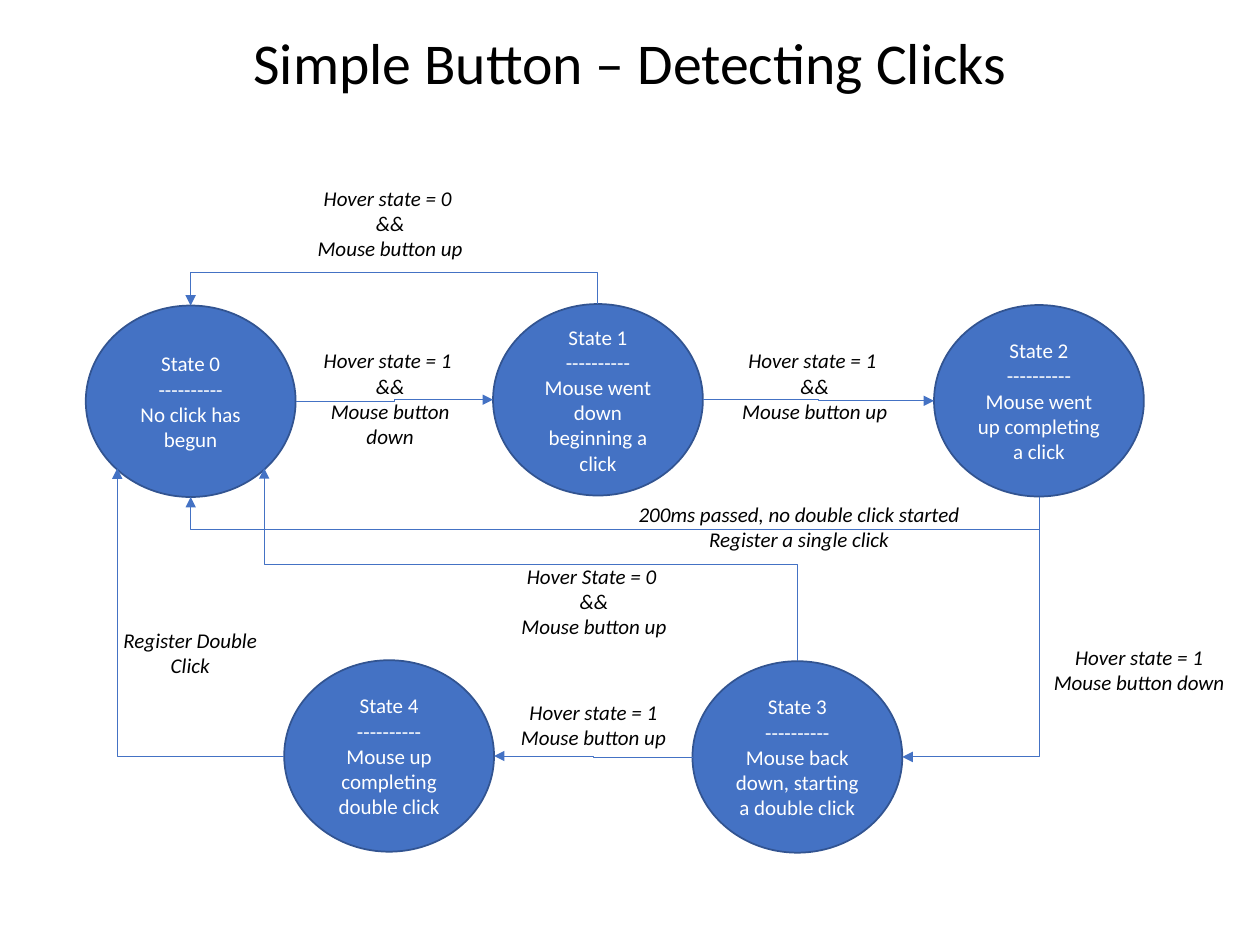
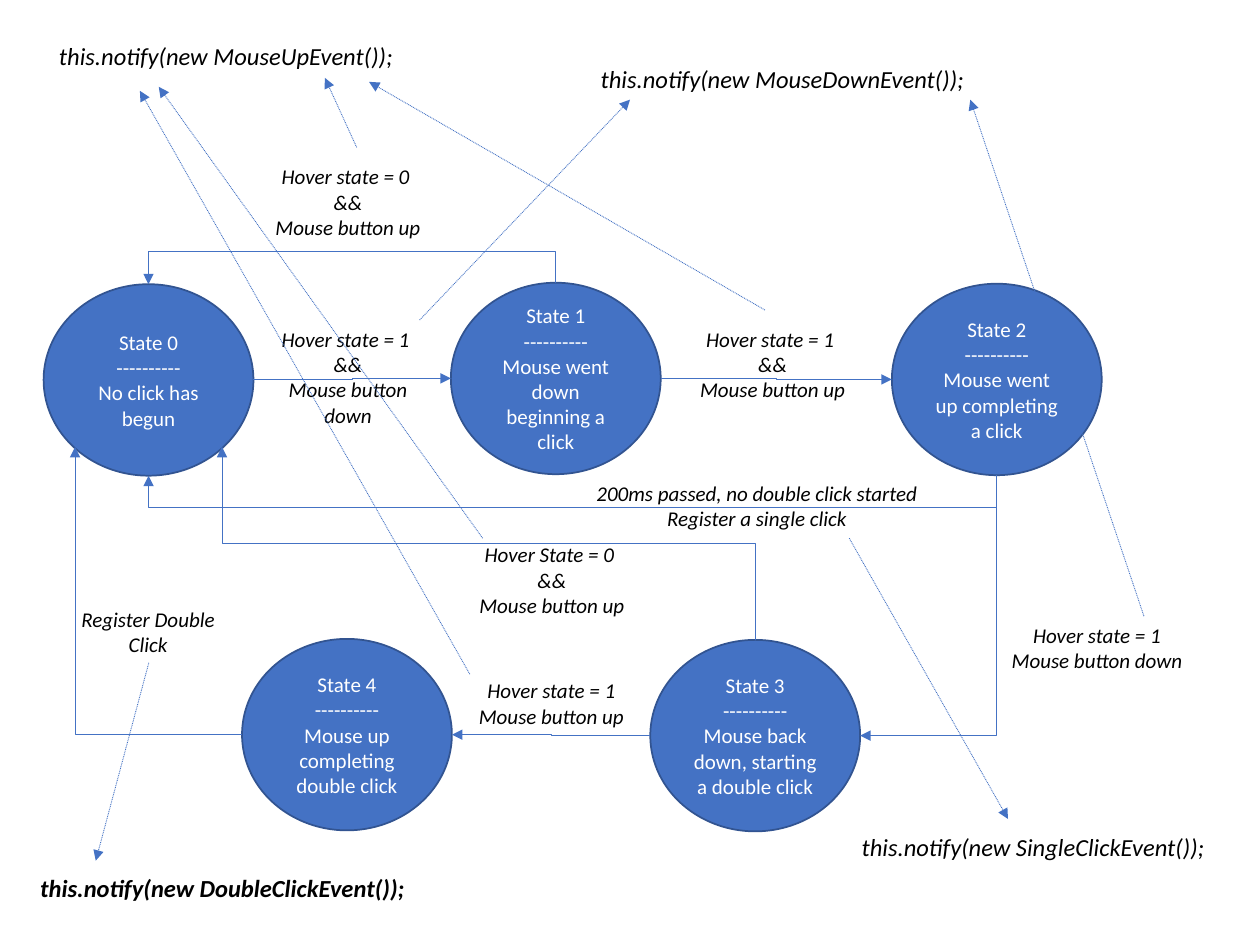
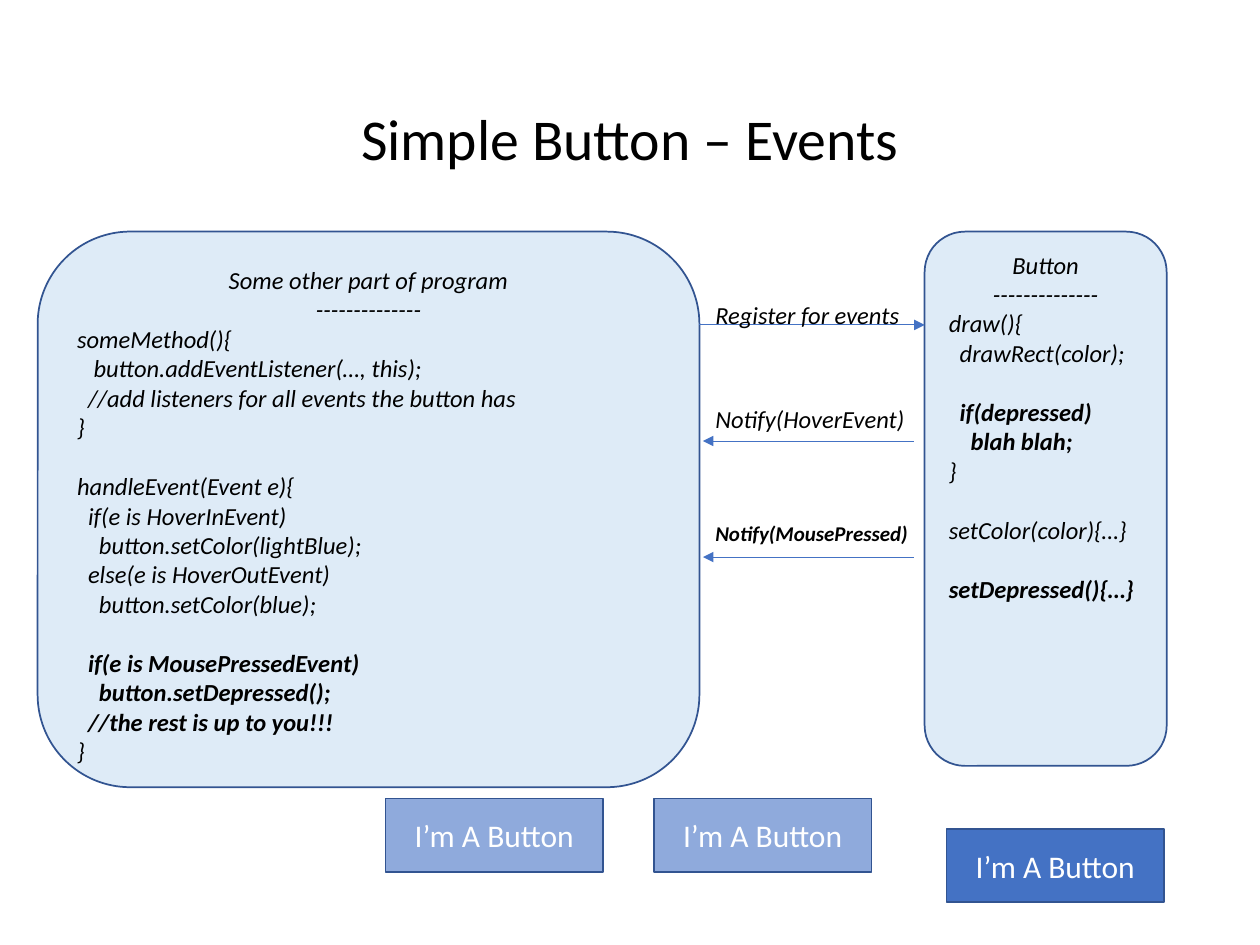
from dataclasses import dataclass
from math import cos, radians, sin

from lxml.etree import SubElement
from pptx import Presentation
from pptx.dml.color import RGBColor
from pptx.enum.dml import MSO_LINE
from pptx.enum.shapes import MSO_CONNECTOR as Link, MSO_SHAPE as Preset
from pptx.enum.text import MSO_ANCHOR as Anchor, PP_ALIGN as Align
from pptx.oxml.ns import qn
from pptx.util import Cm, Pt


@dataclass(frozen=True)
class Theme:
    """Colours, type sizes and line widths used on every slide."""
    font: str = "Calibri"
    blue: str = "4472C4"
    outline: str = "325491"
    pale: str = "DEEBF7"
    faded: str = "8FAADC"
    black: str = "000000"
    white: str = "FFFFFF"
    title_size: int = 33
    button_size: int = 18
    code_size: int = 14
    label_size: int = 12
    outline_width: float = 1
    arrow_width: float = 0.5
    blank_line: int = 17
    code_indent: float = 0.11


@dataclass(frozen=True)
class Box:
    """A rectangle in centimetres."""
    left: float
    top: float
    width: float = 0
    height: float = 0

    def inner(self, left, top, width=0, height=0):
        """Return a box placed relative to this one."""
        return Box(self.left + left, self.top + top, width, height)

    def point(self, across, down):
        """Return the point at the given fractions of the box."""
        return self.left + across * self.width, self.top + down * self.height

    def lengths(self):
        """Return left, top, width and height as slide lengths."""
        return [Cm(value) for value in (self.left, self.top, self.width, self.height)]


THEME = Theme()
PAGE = Box(0, 0, 25.4, 19.05)
TITLE_ONLY, BLANK = 5, 6
STATE_SIZE = (4.23, 3.86)
MIDDLE, CORNER = "middle", "corner"

STATES = {
    0: (0, 2.55, "No click has begun"),
    1: (8.21, 2.52, "Mouse went down beginning a click"),
    2: (17.1, 2.54, "Mouse went up completing a click"),
    3: (12.23, 9.72, "Mouse back down, starting a double click"),
    4: (4, 9.7, "Mouse up completing double click"),
}
SIDES = {
    "top": (0.5, 0), "left": (0, 0.5), "bottom": (0.5, 1), "right": (1, 0.5),
    "lower left": (0.15, 0.85), "lower right": (0.85, 0.85),
}
HEADINGS = {"right": 0, "bottom": 90, "left": 180, "top": 270}
TRANSITIONS = [
    (0, "right", 1, "left", MIDDLE),
    (1, "right", 2, "left", MIDDLE),
    (1, "top", 0, "top", 0.64),
    (2, "bottom", 0, "bottom", 0.66),
    (2, "bottom", 3, "right", CORNER),
    (3, "left", 4, "right", MIDDLE),
    (4, "left", 0, "lower left", CORNER),
    (3, "top", 0, "lower right", MIDDLE),
]
CONDITIONS = [
    ((4.32, 3.28, 3.63, 2.31), ["Hover state = 1 ", "&&", "Mouse button down"]),
    ((12.88, 3.28, 3.63, 1.8), ["Hover state = 1 ", "&&", "Mouse button up"]),
    ((4.04, 0, 4.19, 1.8), ["Hover state = 0 ", "&&", "Mouse button up"]),
    ((10.06, 6.38, 8.64, 1.27),
     ["200ms passed, no double click started", "Register a single click"]),
    ((19.23, 9.25, 4.01, 1.27), ["Hover state = 1", "Mouse button down"]),
    ((0.1, 8.92, 4.01, 1.27), ["Register Double Click"]),
    ((8.23, 10.36, 4.01, 1.27), ["Hover state = 1", "Mouse button up"]),
    ((8.43, 7.62, 3.63, 1.8), ["Hover State = 0 ", "&&", "Mouse button up"]),
]
NOTIFICATIONS = [
    ((11.86, 1.17, 8.46, 0.86), "MouseDownEvent", False),
    ((17.12, 16.64, 8.46, 0.86), "SingleClickEvent", False),
    ((0.56, 17.48, 8.46, 0.86), "DoubleClickEvent", True),
    ((0.94, 0.71, 7.54, 0.86), "MouseUpEvent", False),
]
NOTIFY_ARROWS = [
    ((8.46, 6.45), (12.7, 2.01)),
    ((17.12, 10.85), (20.32, 16.51)),
    ((3, 13.36), (1.93, 17.35)),
    ((23.06, 12.42), (19.56, 2.01)),
    ((7.19, 2.97), (6.55, 1.57)),
    ((15.42, 6.25), (7.44, 1.65)),
    ((9.73, 10.85), (3.2, 1.75)),
    ((9.47, 13.59), (2.82, 1.83)),
]


@dataclass(frozen=True)
class Code:
    """One line of code with its indent in characters."""
    text: str
    indent: int = 0
    bold: bool = False
    gap: bool = False


LISTENER_CODE = [
    Code("someMethod(){"),
    Code("button.addEventListener(…, this);", 3),
    Code("//add listeners for all events the button has", 2),
    Code("}"),
    Code("handleEvent(Event e){", gap=True),
    Code("if(e is HoverInEvent)", 2),
    Code("button.setColor(lightBlue);", 4),
    Code("else(e is HoverOutEvent)", 2),
    Code("button.setColor(blue);", 4),
    Code("if(e is MousePressedEvent)", 2, True, True),
    Code("button.setDepressed();", 4, True),
    Code("//the rest is up to you!!!", 2, True),
    Code("}"),
]
BUTTON_CODE = [
    Code("draw(){"),
    Code("drawRect(color);", 2),
    Code("if(depressed)", 2, True, True),
    Code("blah blah;", 4, True),
    Code("}"),
    Code("setColor(color){…}", gap=True),
    Code("setDepressed(){…}", bold=True, gap=True),
]


def rgb(colour):
    """Turn a hex string into a colour."""
    return RGBColor.from_string(colour)


def write(frame, lines, size, colour=THEME.black, align=Align.CENTER, bold=False, italic=False):
    """Fill a text frame with lines and format their runs."""
    frame.word_wrap = True
    frame.text = "\n".join(lines)
    for para in frame.paragraphs:
        para.alignment = align
        for span in para.runs:
            font = span.font
            font.name, font.size = THEME.font, Pt(size)
            font.bold, font.italic = bold, italic
            font.color.rgb = rgb(colour)


def add_title(page, text, box):
    """Place and format the title placeholder."""
    title = page.shapes.title
    title.left, title.top, title.width, title.height = box.lengths()
    write(title.text_frame, [text], THEME.title_size)
    title.text_frame.vertical_anchor = Anchor.MIDDLE
    title.text_frame.paragraphs[0].line_spacing = 0.9


def add_label(page, box, lines, size=THEME.label_size, align=Align.CENTER, bold=False):
    """Add an italic text box."""
    label = page.shapes.add_textbox(*box.lengths())
    write(label.text_frame, lines, size, align=align, bold=bold, italic=True)


def add_block(page, preset, box, fill):
    """Add a filled and outlined shape without a shadow."""
    block = page.shapes.add_shape(preset, *box.lengths())
    block.shadow.inherit = False
    block.fill.solid()
    block.fill.fore_color.rgb = rgb(fill)
    block.line.color.rgb = rgb(THEME.outline)
    block.line.width = Pt(THEME.outline_width)
    block.text_frame.vertical_anchor = Anchor.MIDDLE
    return block


def style_arrow(arrow, dotted=False):
    """Give a connector its line and a triangle at its end."""
    arrow.line.color.rgb = rgb(THEME.blue)
    arrow.line.width = Pt(THEME.arrow_width)
    if dotted:
        arrow.line.dash_style = MSO_LINE.ROUND_DOT
    properties = arrow._element.spPr
    SubElement(properties.find(qn("a:ln")), qn("a:tailEnd"), type="triangle")
    SubElement(properties, qn("a:effectLst"))


def add_arrow(page, box, begin, end, dotted=False):
    """Add a straight arrow between two points of a box."""
    points = [Cm(value) for x, y in (begin, end) for value in (box.left + x, box.top + y)]
    style_arrow(page.shapes.add_connector(Link.STRAIGHT, *points), dotted)


def add_elbow(page, begin, end, heading, bend):
    """Add a bent arrow that leaves its begin point in the given heading."""
    across, down = end[0] - begin[0], end[1] - begin[1]
    cosine, sine = round(cos(radians(heading))), round(sin(radians(heading)))
    along, aside = across * cosine + down * sine, down * cosine - across * sine
    width, height = abs(along), abs(aside)
    left = (begin[0] + end[0] - width) / 2
    top = (begin[1] + end[1] - height) / 2
    corners = [Cm(value) for value in (left, top, left + width, top + height)]
    elbow = page.shapes.add_connector(Link.ELBOW, *corners)
    properties = elbow._element.spPr
    frame, geometry = properties.xfrm, properties.find(qn("a:prstGeom"))
    frame.set("rot", str(heading * 60000))
    frame.set("flipH", str(int(along < 0)))
    frame.set("flipV", str(int(aside < 0)))
    if bend == CORNER:
        geometry.set("prst", "bentConnector2")
    elif bend != MIDDLE:
        guides = geometry.find(qn("a:avLst"))
        SubElement(guides, qn("a:gd"), name="adj1", fmla=f"val {round(bend / along * 100000)}")
    style_arrow(elbow)


def draw_state_machine(page, box):
    """Draw the click states, their transitions and conditions."""
    places = {}
    for number, (left, top, meaning) in STATES.items():
        places[number] = box.inner(left, top, *STATE_SIZE)
        state = add_block(page, Preset.OVAL, places[number], THEME.blue)
        lines = [f"State {number}", "-" * 10, meaning]
        write(state.text_frame, lines, THEME.label_size, THEME.white)
    for source, exit_side, target, entry_side, bend in TRANSITIONS:
        begin = places[source].point(*SIDES[exit_side])
        end = places[target].point(*SIDES[entry_side])
        add_elbow(page, begin, end, HEADINGS[exit_side], bend)
    for place, lines in CONDITIONS:
        add_label(page, box.inner(*place), lines)


def draw_notifications(page, box):
    """Draw the notify calls and the dotted arrows that lead to them."""
    for begin, end in NOTIFY_ARROWS:
        add_arrow(page, box, begin, end, dotted=True)
    for place, event, bold in NOTIFICATIONS:
        call = f"this.notify(new {event}());"
        add_label(page, box.inner(*place), [call], THEME.code_size, Align.LEFT, bold)


def draw_code_panel(page, box, heading, code):
    """Draw a rounded panel with a heading above lines of code."""
    panel = add_block(page, Preset.ROUNDED_RECTANGLE, box, THEME.pale)
    frame = panel.text_frame
    frame.vertical_anchor = Anchor.TOP
    lines = [heading, "-" * 14] + [line.text for line in code]
    write(frame, lines, THEME.code_size, italic=True)
    for para, line in zip(frame.paragraphs[2:], code):
        para.alignment = Align.LEFT
        para.runs[0].font.bold = line.bold
        if line.gap:
            para.space_before = Pt(THEME.blank_line)
        if line.indent:
            para._p.get_or_add_pPr().set("marL", str(Cm(line.indent * THEME.code_indent)))


def draw_messages(page, box):
    """Draw the labelled arrows between the two code panels."""
    messages = [
        ("Register for events", 0.63, (0, 0.63), (4.54, 0.63), THEME.code_size, False),
        ("Notify(HoverEvent)", 0.86, (4.32, 2.97), (0.07, 2.97), THEME.code_size, False),
        ("Notify(MousePressed)", 0.87, (4.32, 5.31), (0.07, 5.31), THEME.label_size, True),
    ]
    for text, rise, begin, end, size, bold in messages:
        add_arrow(page, box, begin, end)
        place = box.inner(0.07, begin[1] - rise, 5.08, 0.86)
        add_label(page, place, [text], size, Align.LEFT, bold)


def draw_buttons(page, box):
    """Draw the sample buttons in their colours."""
    for left, top, fill in [(0, 0, THEME.faded), (5.41, 0, THEME.faded), (11.31, 0.61, THEME.blue)]:
        button = add_block(page, Preset.RECTANGLE, box.inner(left, top, 4.39, 1.48), fill)
        write(button.text_frame, ["I’m A Button"], THEME.button_size, THEME.white)


def build_clicks_slide(page):
    """Build the slide on detecting clicks."""
    add_title(page, "Simple Button – Detecting Clicks", PAGE.inner(1.75, 0.33, 21.9, 2))
    draw_state_machine(page, PAGE.inner(1.73, 3.61))


def build_notify_slide(page):
    """Build the slide that adds notifications to the states."""
    draw_state_machine(page, PAGE.inner(0.88, 3.18))
    draw_notifications(page, PAGE)


def build_events_slide(page):
    """Build the slide on events between program and button."""
    add_title(page, "Simple Button – Events", PAGE.inner(1.75, 1.02, 21.9, 3.68))
    draw_code_panel(page, PAGE.inner(18.64, 4.67, 4.88, 10.77), "Button", BUTTON_CODE)
    draw_code_panel(page, PAGE.inner(0.76, 4.67, 13.34, 11.2),
                    "Some other part of program", LISTENER_CODE)
    draw_messages(page, PAGE.inner(14.1, 5.92))
    draw_buttons(page, PAGE.inner(7.77, 16.1))


def main():
    """Build and save the deck."""
    deck = Presentation()
    deck.slide_width, deck.slide_height = Cm(PAGE.width), Cm(PAGE.height)
    builders = [
        (TITLE_ONLY, build_clicks_slide),
        (BLANK, build_notify_slide),
        (TITLE_ONLY, build_events_slide),
    ]
    for layout, build in builders:
        build(deck.slides.add_slide(deck.slide_layouts[layout]))
    deck.save("out.pptx")


if __name__ == "__main__":
    main()
